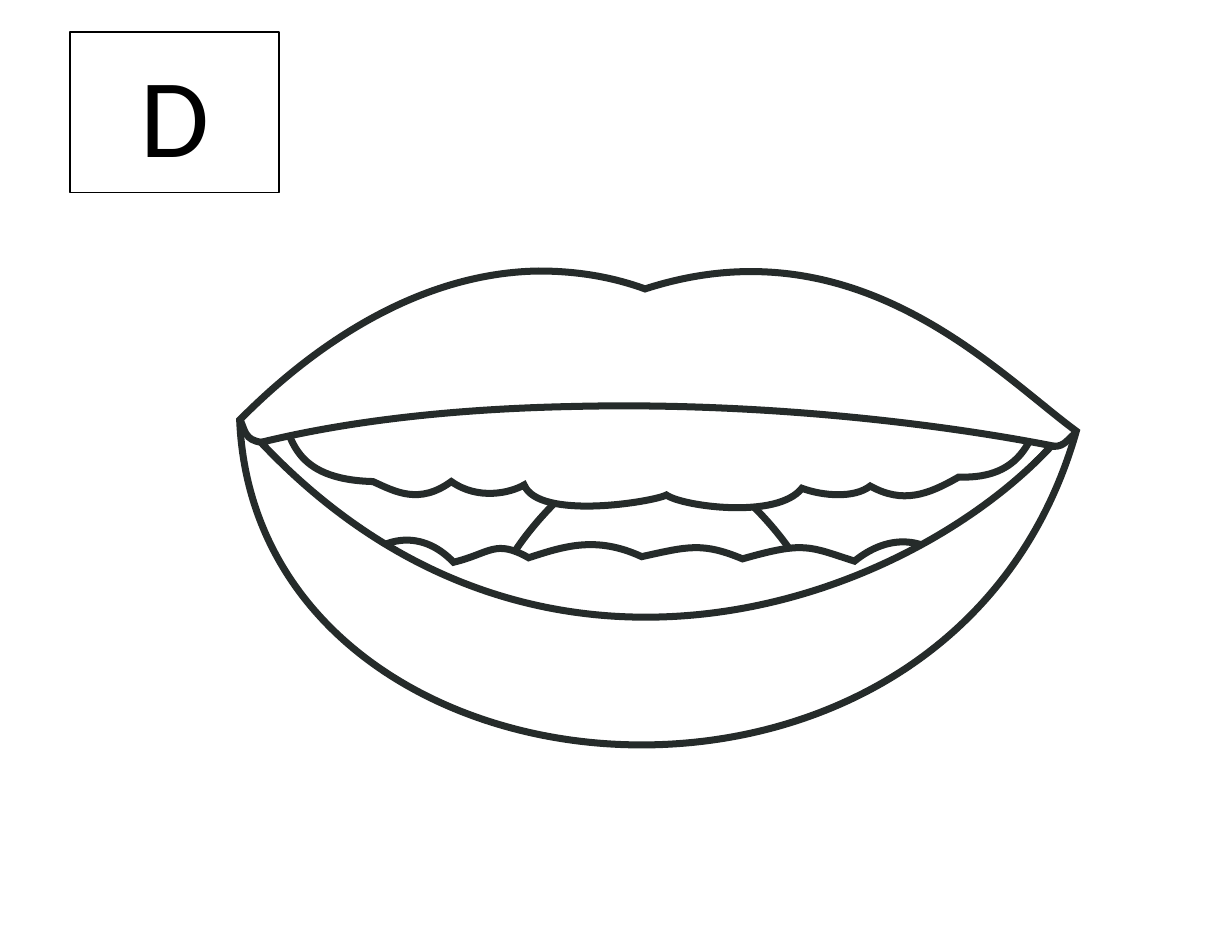
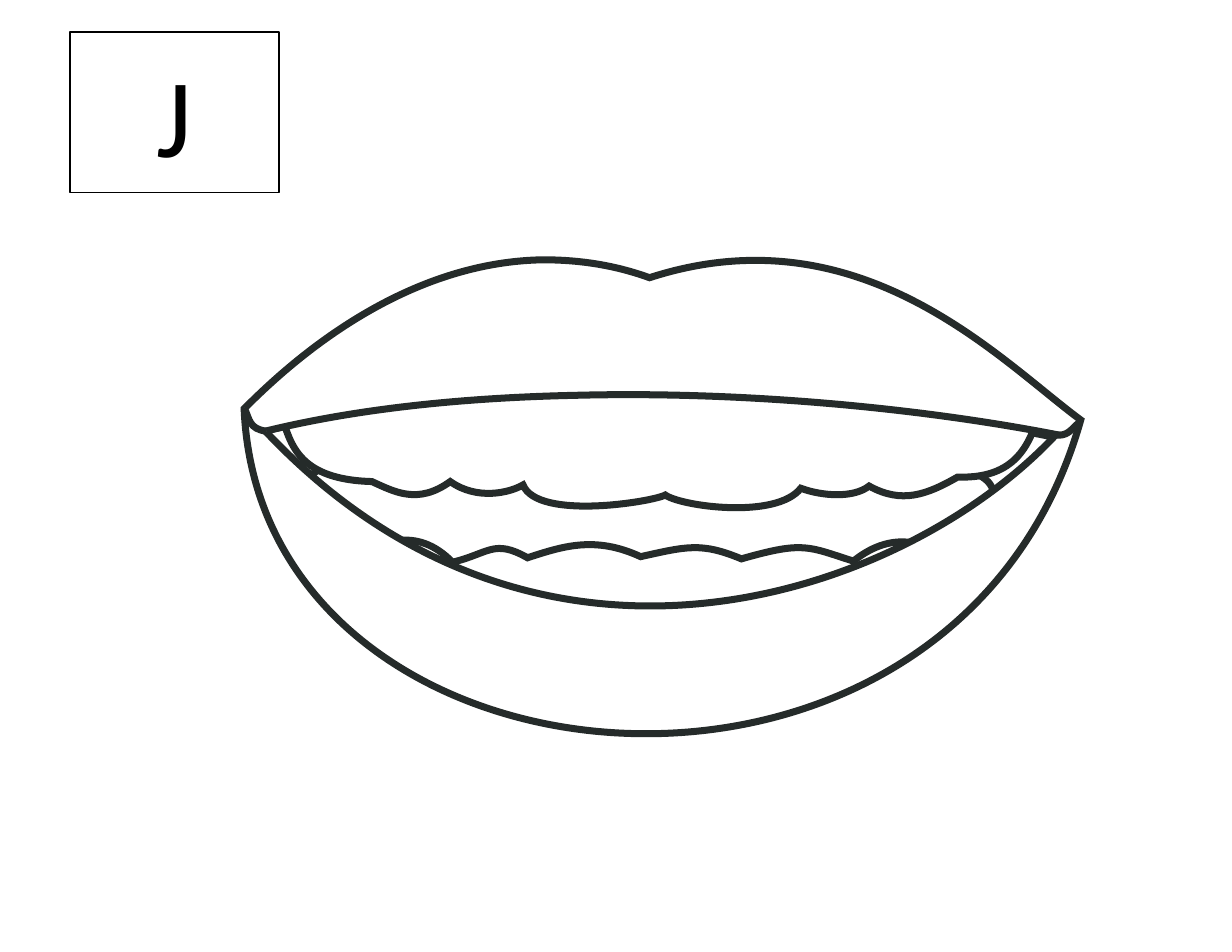
from pptx import Presentation
from pptx.dml.color import RGBColor
from pptx.enum.shapes import MSO_SHAPE
from pptx.enum.text import MSO_ANCHOR, MSO_AUTO_SIZE, PP_ALIGN
from pptx.oxml.ns import qn
from pptx.util import Cm, Pt
from lxml.etree import SubElement

COLORS = {name: RGBColor.from_string(value) for name, value in
          {"paper": "FFFFFF", "ink": "252B2A", "letter": "000000"}.items()}
INCH = 2.54  # the outlines are plotted in inches

# Each contour: start point, then curves (six numbers) or straight lines (two)
CAVITY = [[(2.25, 3.88), (4.6, 3.29, 7.6, 3.53, 9.45, 3.91),
           (8.12, 5.45, 4.79, 6.77, 2.25, 3.88)]]
RAISED_TONGUE = [[(7.24, 5.59), (6.98, 6.05, 4.7, 6, 4.44, 5.55),
                  (4.2, 5.11, 5.35, 3.95, 5.82, 3.95),
                  (6.29, 3.96, 7.49, 5.12, 7.24, 5.59)]]
WIDE_TONGUE = [[(2.78, 4.24), (3.33, 3.77, 8.24, 3.82, 8.8, 4.28),
                (9.32, 4.71, 6.83, 5.88, 5.83, 5.87),
                (4.83, 5.87, 2.24, 4.7, 2.78, 4.24)]]
LOWER_TEETH = [[(3.57, 5.61), (2.55, 5.56, 3.42, 4.36, 4.05, 5.02),
                (4.38, 4.94, 4.42, 4.81, 4.72, 4.98),
                (5.03, 4.88, 5.32, 4.78, 5.73, 4.97),
                (6.14, 4.88, 6.27, 4.84, 6.63, 4.99),
                (7.19, 4.83, 7.22, 4.88, 7.63, 5.01),
                (8.36, 4.42, 9, 5.53, 8.32, 5.63),
                (6.34, 5.95, 5.24, 6.15, 3.57, 5.61)]]
UPPER_TEETH = [[(5.09, 3.41), (6.62, 3.39, 7.84, 3.46, 9.09, 3.59), (9.31, 3.63),
                (9.22, 3.89, 9.14, 4.28, 8.56, 4.26),
                (8.28, 4.42, 8.06, 4.5, 7.77, 4.34),
                (7.63, 4.45, 7.35, 4.43, 7.16, 4.36),
                (6.94, 4.64, 6.09, 4.52, 5.95, 4.42),
                (5.84, 4.48, 4.81, 4.65, 4.68, 4.33),
                (4.56, 4.4, 4.27, 4.47, 4.03, 4.3),
                (3.74, 4.51, 3.53, 4.39, 3.33, 4.3),
                (2.6, 4.28, 2.6, 3.89, 2.5, 3.65), (2.82, 3.54),
                (3.56, 3.47, 4.32, 3.43, 5.09, 3.41)]]
LIPS = [[(4.81, 2.42), (5.11, 2.42, 5.43, 2.46, 5.76, 2.58),
         (7.64, 1.97, 8.89, 3.32, 9.61, 3.85),
         (8.47, 7.88, 2.29, 7.31, 2.14, 3.75),
         (2.49, 3.4, 3.5, 2.44, 4.81, 2.42)],
        [(5.1, 3.63), (4.15, 3.65, 3.19, 3.74, 2.33, 3.95),
         (4.82, 6.59, 8.09, 5.38, 9.39, 3.98),
         (8.26, 3.76, 6.68, 3.59, 5.1, 3.63)]]
LEFT_CORNER = [[(2.34, 3.95), (2.18, 3.93, 2.19, 3.84, 2.14, 3.74)]]
RIGHT_CORNER = [[(9.35, 3.98), (9.5, 4.01, 9.52, 3.93, 9.6, 3.87)]]

# Letter, tongue outline, shift of the inner mouth, shift of the lips
SLIDES = [("D", RAISED_TONGUE, (0, 0), (0, 0)),
          ("J", WIDE_TONGUE, (-0.01, 0), (0.04, -0.1))]


def curve_points(start, segment):
    """Return points along a curve, to measure how far it reaches."""
    controls = [start, segment[:2], segment[2:4], segment[4:]]
    points = []
    for step in range(41):
        t = step / 40
        weights = ((1 - t)**3, 3 * t * (1 - t)**2, 3 * t * t * (1 - t), t**3)
        points.append([sum(weight * control[axis] for weight, control in zip(weights, controls))
                       for axis in (0, 1)])
    return points


def draw_outline(page, contours, shift, closed=True, filled=True):
    """Draw one part of the mouth with the thick ink line."""
    anchors = [[(Cm(s[-2] * INCH), Cm(s[-1] * INCH)) for s in contour] for contour in contours]
    builder = page.shapes.build_freeform(*anchors[0][0], scale=1.0)
    builder.add_line_segments(anchors[0][1:], close=closed)
    for points in anchors[1:]:
        builder.move_to(*points[0])
        builder.add_line_segments(points[1:], close=closed)
    outline = builder.convert_to_shape()

    # Fit the frame to the reach of the curves
    reach = []
    for contour in contours:
        for before, segment in zip(contour, contour[1:]):
            reach += curve_points(before[-2:], segment) if len(segment) == 6 else [segment]
    left, right = min(x for x, y in reach), max(x for x, y in reach)
    top, bottom = min(y for x, y in reach), max(y for x, y in reach)
    outline.left, outline.top = Cm((left + shift[0]) * INCH), Cm((top + shift[1]) * INCH)
    outline.width, outline.height = Cm((right - left) * INCH), Cm((bottom - top) * INCH)

    # Write the contours as Bézier curves
    track = next(outline._element.iter(qn("a:path")))
    track.set("w", str(outline.width))
    track.set("h", str(outline.height))
    for child in list(track):
        track.remove(child)
    for contour in contours:
        for index, segment in enumerate(contour):
            kind = "a:moveTo" if index == 0 else "a:cubicBezTo" if len(segment) == 6 else "a:lnTo"
            command = SubElement(track, qn(kind))
            for x, y in zip(segment[::2], segment[1::2]):
                point = SubElement(command, qn("a:pt"))
                point.set("x", str(Cm((x - left) * INCH)))
                point.set("y", str(Cm((y - top) * INCH)))
        if closed:
            SubElement(track, qn("a:close"))

    outline.shadow.inherit = False
    if filled:
        outline.fill.solid()
        outline.fill.fore_color.rgb = COLORS["paper"]
    else:
        outline.fill.background()
    outline.line.color.rgb = COLORS["ink"]
    outline.line.width = Pt(4.5)
    line = outline._element.spPr.find(qn("a:ln"))
    SubElement(line, qn("a:miter")).set("lim", "800000")
    return outline


deck = Presentation()
deck.slide_width, deck.slide_height = Cm(27.94), Cm(21.59)

for letter, tongue, inner_shift, lip_shift in SLIDES:
    page = deck.slides.add_slide(deck.slide_layouts[5])

    # White sheet behind everything
    sheet = page.shapes.add_shape(MSO_SHAPE.RECTANGLE, 0, 0, deck.slide_width, deck.slide_height)
    sheet.shadow.inherit = False
    page.shapes._spTree.insert(2, sheet._element)

    # Letter box
    box = page.shapes.title
    box.left, box.top, box.width, box.height = Cm(1.59), Cm(0.73), Cm(4.74), Cm(3.64)
    for shape, edge in ((sheet, "paper"), (box, "letter")):
        shape.fill.solid()
        shape.fill.fore_color.rgb = COLORS["paper"]
        shape.line.color.rgb = COLORS[edge]
        shape.line.width = Pt(1)
    frame = box.text_frame
    frame.text = letter
    frame.word_wrap = True
    frame.auto_size = MSO_AUTO_SIZE.NONE
    frame.vertical_anchor = MSO_ANCHOR.MIDDLE
    para = frame.paragraphs[0]
    para.alignment = PP_ALIGN.CENTER
    para.font.name = "Calibri"
    para.font.size = Pt(72)
    para.font.color.rgb = COLORS["letter"]

    # Mouth, from back to front
    parts = [draw_outline(page, CAVITY, inner_shift),
             draw_outline(page, tongue, (0, 0)),
             draw_outline(page, LOWER_TEETH, inner_shift),
             draw_outline(page, UPPER_TEETH, inner_shift),
             draw_outline(page, LIPS, lip_shift),
             draw_outline(page, LEFT_CORNER, lip_shift, closed=False),
             draw_outline(page, RIGHT_CORNER, lip_shift, closed=False, filled=False)]
    page.shapes.add_group_shape(parts)

deck.save("out.pptx")
